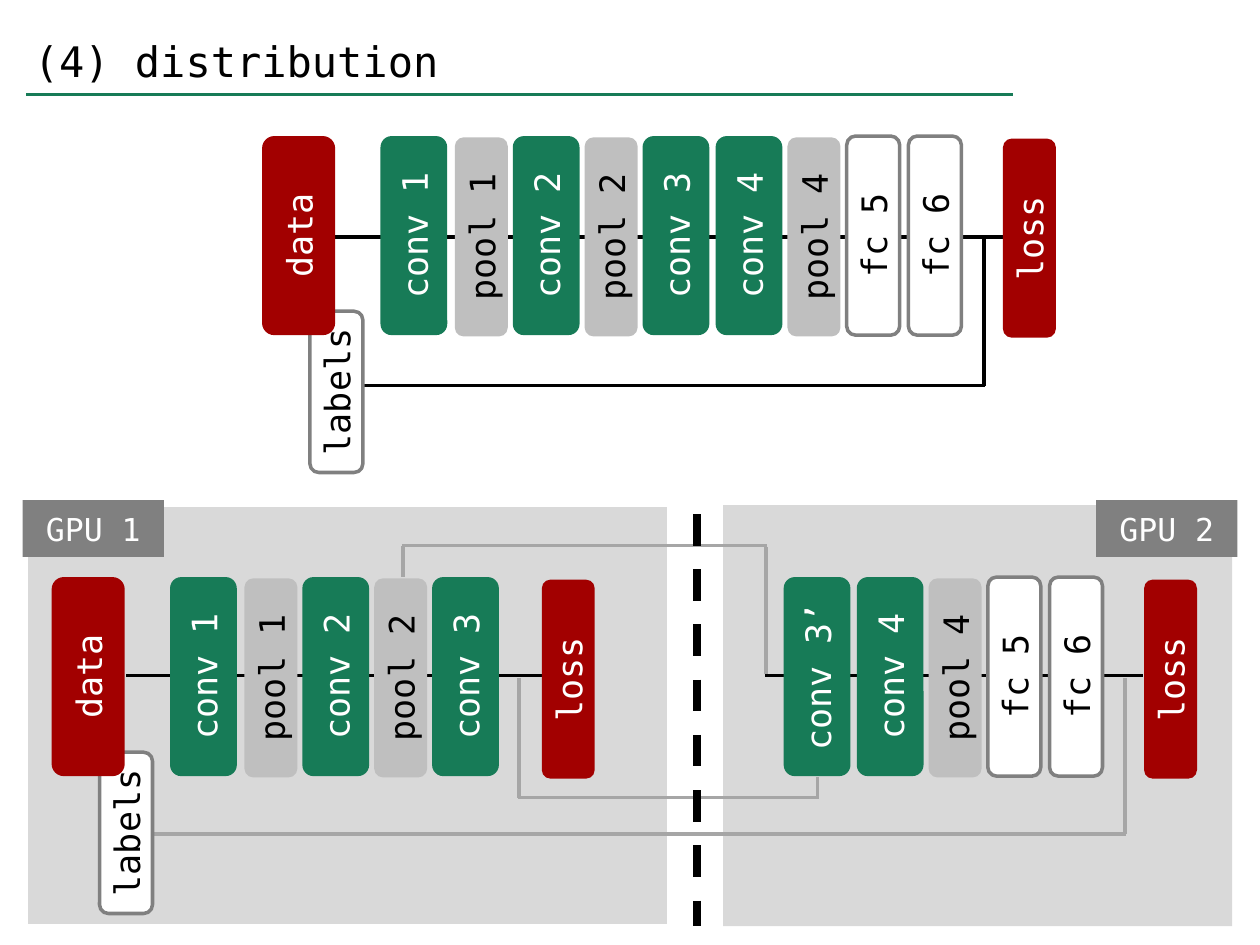
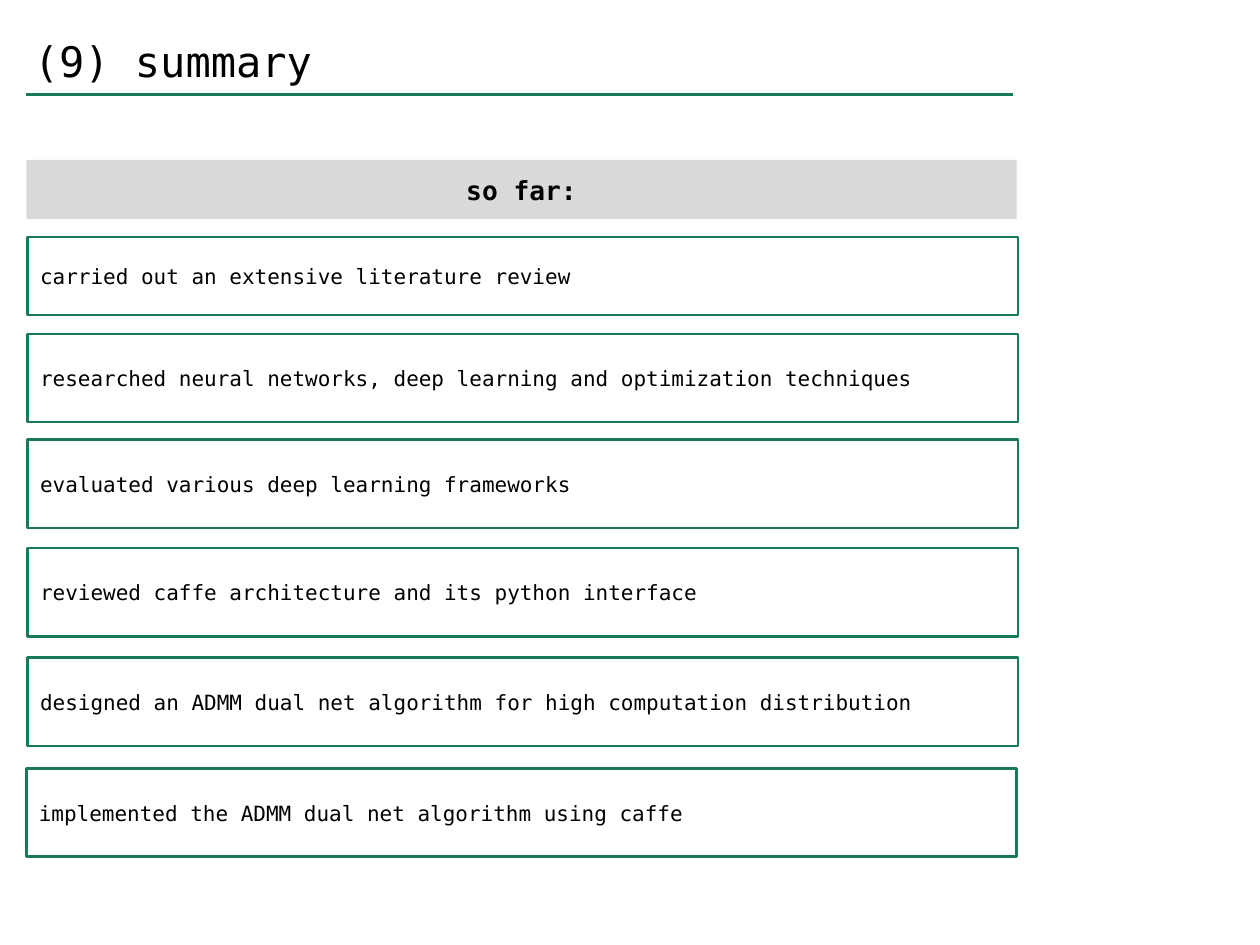
from pptx import Presentation
from pptx.dml.color import RGBColor
from pptx.enum.dml import MSO_LINE
from pptx.enum.shapes import MSO_CONNECTOR, MSO_SHAPE
from pptx.enum.text import MSO_ANCHOR, MSO_AUTO_SIZE, PP_ALIGN
from pptx.oxml import parse_xml
from pptx.oxml.ns import nsdecls
from pptx.util import Inches, Pt

FONT = "DejaVu Sans Mono"
BLACK, WHITE = "000000", "FFFFFF"
GREEN, RED = "177B57", "A20000"
PANEL, POOL, LINK, GREY = "D9D9D9", "BFBFBF", "A6A6A6", "808080"

prs = Presentation()
prs.slide_width, prs.slide_height = Inches(10), Inches(7.5)
# The grid has 100 columns and 75 rows.
COL, ROW = prs.slide_width / 100, prs.slide_height / 75


def box(slide, place, text="", fill=None, edge=None, edge_pt=2, ink=BLACK,
        size=20, bold=False, align=PP_ALIGN.CENTER, upright=False):
    """Draw a box at (column, row, columns, rows); upright ones are rounded."""
    x, y, w, h = place
    kind = MSO_SHAPE.ROUNDED_RECTANGLE if upright else MSO_SHAPE.RECTANGLE
    shape = slide.shapes.add_shape(kind, int(x * COL), int(y * ROW),
                                   int(w * COL), int(h * ROW))
    shape.shadow.inherit = False
    if fill:
        shape.fill.solid()
        shape.fill.fore_color.rgb = RGBColor.from_string(fill)
    else:
        shape.fill.background()
    if edge:
        shape.line.color.rgb = RGBColor.from_string(edge)
        shape.line.width = Pt(edge_pt)
    else:
        shape.line.fill.background()
    if text:
        frame = shape.text_frame
        frame.word_wrap = True
        frame.vertical_anchor = MSO_ANCHOR.MIDDLE
        if upright:
            frame._txBody.bodyPr.set("vert", "vert270")
        frame.text = text
        paragraph = frame.paragraphs[0]
        paragraph.alignment = align
        font = paragraph.runs[0].font
        font.name, font.size, font.bold = FONT, Pt(size), bold
        font.color.rgb = RGBColor.from_string(ink)


def line(slide, x1, y1, x2, y2, color=BLACK, width=2, dash=None):
    """Draw a straight line between two grid points."""
    link = slide.shapes.add_connector(
        MSO_CONNECTOR.STRAIGHT, int(x1 * COL), int(y1 * ROW),
        int(x2 * COL), int(y2 * ROW))
    link.line.color.rgb = RGBColor.from_string(color)
    link.line.width = Pt(width)
    if dash:
        link.line.dash_style = dash
    link._element.spPr.append(parse_xml(f"<a:effectLst {nsdecls('a')}/>"))


# Both slides: title and green rule
slides = []
for title in ("(4) distribution", "(9) summary"):
    slide = prs.slides.add_slide(prs.slide_layouts[6])
    holder = slide.shapes.add_textbox(int(1.7 * COL), int(2.3 * ROW),
                                      int(79.2 * COL), int(5 * ROW))
    frame = holder.text_frame
    frame.word_wrap = True
    frame.auto_size = MSO_AUTO_SIZE.SHAPE_TO_FIT_TEXT
    frame.text = title
    font = frame.paragraphs[0].runs[0].font
    font.name, font.size = FONT, Pt(24)
    font.color.rgb = RGBColor.from_string(BLACK)
    line(slide, 2.1, 7.5, 80.4, 7.5, GREEN, 2.25)
    slides.append(slide)
distribution, summary = slides

# Distribution: panels and the lines behind the layers
box(distribution, (2.1, 40.1, 51, 33.4), fill=PANEL, edge=WHITE, edge_pt=2.25)
box(distribution, (57.4, 40.1, 40.4, 33.4), fill=PANEL)
for ends in ((25.1, 18.8, 81.7, 18.8), (78.1, 18.8, 78.1, 30.6),
             (25.8, 30.6, 78.2, 30.6), (10, 53.6, 45, 53.6),
             (60.7, 53.6, 90.7, 53.6)):
    line(distribution, *ends)
for ends in ((89.3, 53.8, 89.3, 66.2), (12.2, 66.2, 89.4, 66.2),
             (32, 43.3, 32, 45.8), (31.9, 43.3, 60.9, 43.3),
             (60.8, 43.4, 60.8, 53.5), (41.2, 53.8, 41.2, 63.3),
             (41.1, 63.3, 65, 63.3), (64.9, 61.7, 64.9, 63.4)):
    line(distribution, *ends, color=LINK)

# Layer kind: row, columns, rows, fill, edge, text colour
KINDS = {
    "labels": (24.7, 4.2, 12.8, WHITE, GREY, BLACK),
    "data": (10.8, 5.8, 15.8, RED, None, WHITE),
    "conv": (10.8, 5.3, 15.8, GREEN, None, WHITE),
    "pool": (10.9, 4.2, 15.8, POOL, None, BLACK),
    "fc": (10.8, 4.2, 15.8, WHITE, GREY, BLACK),
    "loss": (11, 4.2, 15.8, RED, None, WHITE),
}
NETWORK = [("labels", 24.6), ("data", 20.8), ("conv 1", 30.2),
           ("pool 1", 36.1), ("conv 2", 40.7), ("pool 2", 46.4),
           ("conv 3", 51), ("conv 4", 56.8), ("pool 4", 62.5),
           ("fc 5", 67.2), ("fc 6", 72.1), ("loss", 79.6)]
# The two halves are the same network, cut at conv 3 and shifted.
FIRST_HALF = NETWORK[:7] + [("loss", 59.7)]
SECOND_HALF = [("conv 3\u2019", 51)] + NETWORK[7:]
for layers, right, down in ((NETWORK, 0, 0), (FIRST_HALF, -16.7, 35),
                            (SECOND_HALF, 11.2, 35)):
    for name, x in layers:
        y, w, h, fill, edge, ink = KINDS[name.split()[0]]
        box(distribution, (x + right, y + down, w, h), name, fill, edge,
            ink=ink, upright=True)

# Distribution: divider and panel tags
line(distribution, 55.3, 40.8, 55.3, 73.5, width=4.5, dash=MSO_LINE.DASH)
for tag, x in (("GPU 1", 1.8), ("GPU 2", 87)):
    box(distribution, (x, 39.7, 11.2, 4.5), tag, GREY, ink=WHITE, size=18)

# Summary: heading and one frame for each result
box(summary, (2.1, 12.7, 78.6, 4.7), "so far:", PANEL, size=15, bold=True)
RESULTS = [
    (2.2, 18.8, 6.2, "carried out an extensive literature review"),
    (2.2, 26.5, 7, "researched neural networks, deep learning and "
                   "optimization techniques"),
    (2.2, 34.9, 7, "evaluated various deep learning frameworks"),
    (2.2, 43.5, 7, "reviewed caffe architecture and its python interface"),
    (2.2, 52.2, 7, "designed an ADMM dual net algorithm for high "
                   "computation distribution"),
    (2.1, 61, 7, "implemented the ADMM dual net algorithm using caffe"),
]
for x, y, h, text in RESULTS:
    box(summary, (x, y, 78.6, h), text, edge=GREEN, edge_pt=1.5, size=12,
        align=PP_ALIGN.LEFT)

prs.save("out.pptx")
